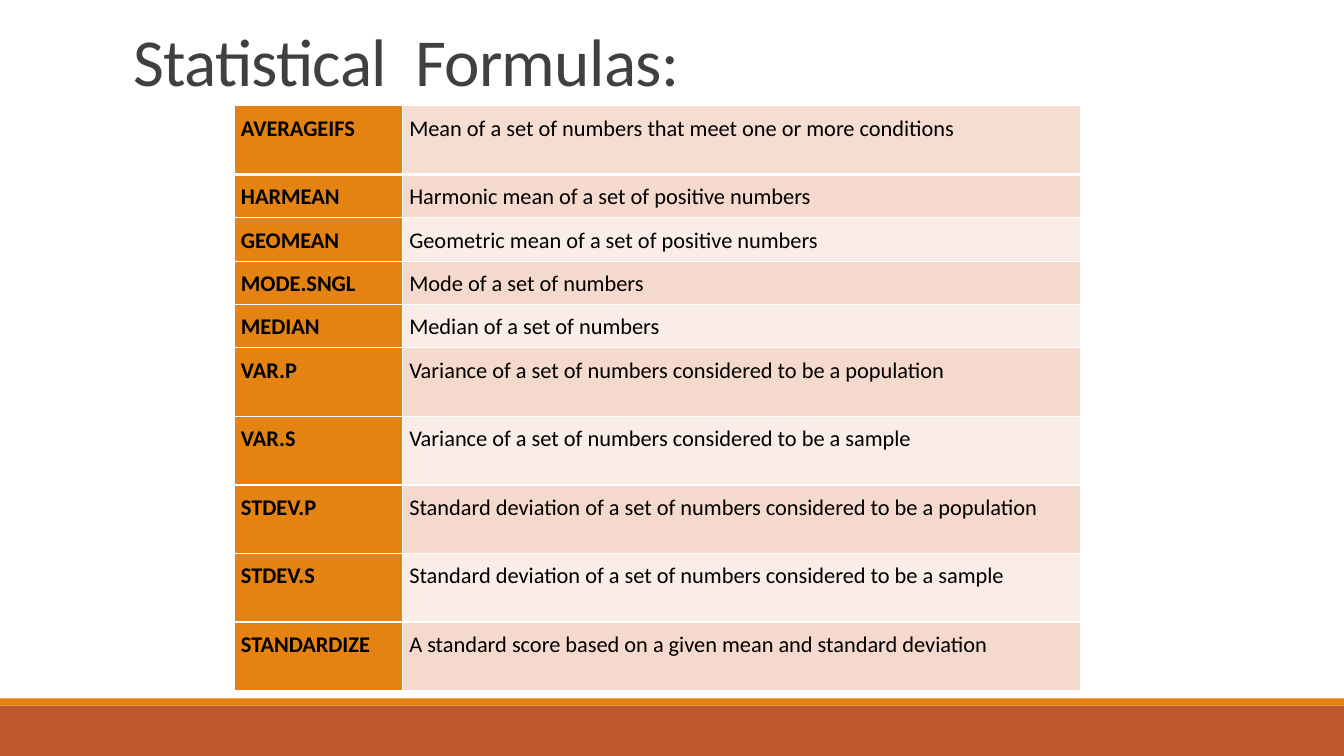
import pptx
import pptx.dml.color
import pptx.enum.shapes
import pptx.enum.text
import pptx.oxml
import pptx.oxml.ns
import pptx.util

Inches = pptx.util.Inches
Pt = pptx.util.Pt
RGBColor = pptx.dml.color.RGBColor

ORANGE = RGBColor(0xE4, 0x83, 0x12)
RUST = RGBColor(0xBD, 0x58, 0x2C)
GRAY = RGBColor(0x40, 0x40, 0x40)
BLACK = RGBColor(0x00, 0x00, 0x00)
WHITE = RGBColor(0xFF, 0xFF, 0xFF)
FIRST_ROW = RGBColor(0xF5, 0xDD, 0xD2)
DARK_BAND = RGBColor(0xF5, 0xD9, 0xCC)
LIGHT_BAND = RGBColor(0xFA, 0xED, 0xE7)

FONT = "Calibri"
SLIDE_WIDTH, SLIDE_HEIGHT = 13.33, 7.5
NAME_WIDTH, MEANING_WIDTH = 1.67, 6.73
TALL, SHORT = 0.68, 0.41

FORMULAS = [
    ("AVERAGEIFS", "Mean of a set of numbers that meet one or more conditions", TALL),
    ("HARMEAN", "Harmonic mean of a set of positive numbers", SHORT),
    ("GEOMEAN", "Geometric mean of a set of positive numbers", SHORT),
    ("MODE.SNGL", "Mode of a set of numbers", SHORT),
    ("MEDIAN", "Median of a set of numbers", SHORT),
    ("VAR.P", "Variance of a set of numbers considered to be a population", TALL),
    ("VAR.S", "Variance of a set of numbers considered to be a sample", TALL),
    ("STDEV.P", "Standard deviation of a set of numbers considered to be a population", TALL),
    ("STDEV.S", "Standard deviation of a set of numbers considered to be a sample", TALL),
    ("STANDARDIZE", "A standard score based on a given mean and standard deviation", TALL),
]


def add_run(paragraph, text, size, color, bold=False):
    run = paragraph.add_run()
    run.text = text
    run.font.name = FONT
    run.font.size = Pt(size)
    run.font.bold = bold
    run.font.color.rgb = color
    return run


def add_band(slide, top, height, color):
    band = slide.shapes.add_shape(
        pptx.enum.shapes.MSO_SHAPE.RECTANGLE,
        0, Inches(top), Inches(SLIDE_WIDTH), Inches(height))
    band.shadow.inherit = False
    band.fill.solid()
    band.fill.fore_color.rgb = color
    band.line.fill.background()


def set_title(slide, text):
    title = slide.shapes.title
    title.left, title.top = Inches(1.22), Inches(0.26)
    title.width, title.height = Inches(11), Inches(1.59)
    frame = title.text_frame
    frame.word_wrap = True
    frame.auto_size = pptx.enum.text.MSO_AUTO_SIZE.NONE
    frame.vertical_anchor = pptx.enum.text.MSO_ANCHOR.TOP
    paragraph = frame.paragraphs[0]
    paragraph.alignment = pptx.enum.text.PP_ALIGN.LEFT
    paragraph.line_spacing = 0.85
    run = add_run(paragraph, text, 48, GRAY)
    run.font._element.set("spc", "-50")


def set_borders(cell, top, bottom):
    properties = cell._tc.get_or_add_tcPr()
    for side, width in (("L", 1), ("R", 1), ("T", top), ("B", bottom)):
        properties.append(pptx.oxml.parse_xml(
            f'<a:ln{side} {pptx.oxml.ns.nsdecls("a")} w="{Pt(width)}">'
            f'<a:solidFill><a:srgbClr val="{WHITE}"/></a:solidFill></a:ln{side}>'))


def fill_cell(cell, text, color, bold, top, bottom):
    set_borders(cell, top, bottom)
    cell.fill.solid()
    cell.fill.fore_color.rgb = color
    cell.margin_left = cell.margin_right = Inches(0.07)
    cell.margin_top = cell.margin_bottom = Inches(0.07)
    paragraph = cell.text_frame.paragraphs[0]
    paragraph.line_spacing = 1.07
    paragraph.space_after = Pt(15)
    add_run(paragraph, text, 16, BLACK, bold)


def add_formula_table(slide):
    height = sum(formula[2] for formula in FORMULAS)
    table = slide.shapes.add_table(
        len(FORMULAS), 2, Inches(2.32), Inches(1.05),
        Inches(NAME_WIDTH + MEANING_WIDTH), Inches(height)).table
    table.first_col = True
    table.columns[0].width = Inches(NAME_WIDTH)
    table.columns[1].width = Inches(MEANING_WIDTH)
    for index, (name, meaning, row_height) in enumerate(FORMULAS):
        table.rows[index].height = Inches(row_height)
        band = DARK_BAND if index % 2 else LIGHT_BAND
        color = band if index else FIRST_ROW
        top = 3 if index == 1 else 1
        bottom = 3 if index == 0 else 1
        fill_cell(table.cell(index, 0), name, ORANGE, True, top, bottom)
        fill_cell(table.cell(index, 1), meaning, color, False, top, bottom)


def main():
    presentation = pptx.Presentation()
    presentation.slide_width = Inches(SLIDE_WIDTH)
    presentation.slide_height = Inches(SLIDE_HEIGHT)
    slide = presentation.slides.add_slide(presentation.slide_layouts[5])
    add_band(slide, 7, 0.5, RUST)
    add_band(slide, 6.93, 0.07, ORANGE)
    set_title(slide, "Statistical  Formulas:")
    add_formula_table(slide)
    presentation.save("out.pptx")


if __name__ == "__main__":
    main()
